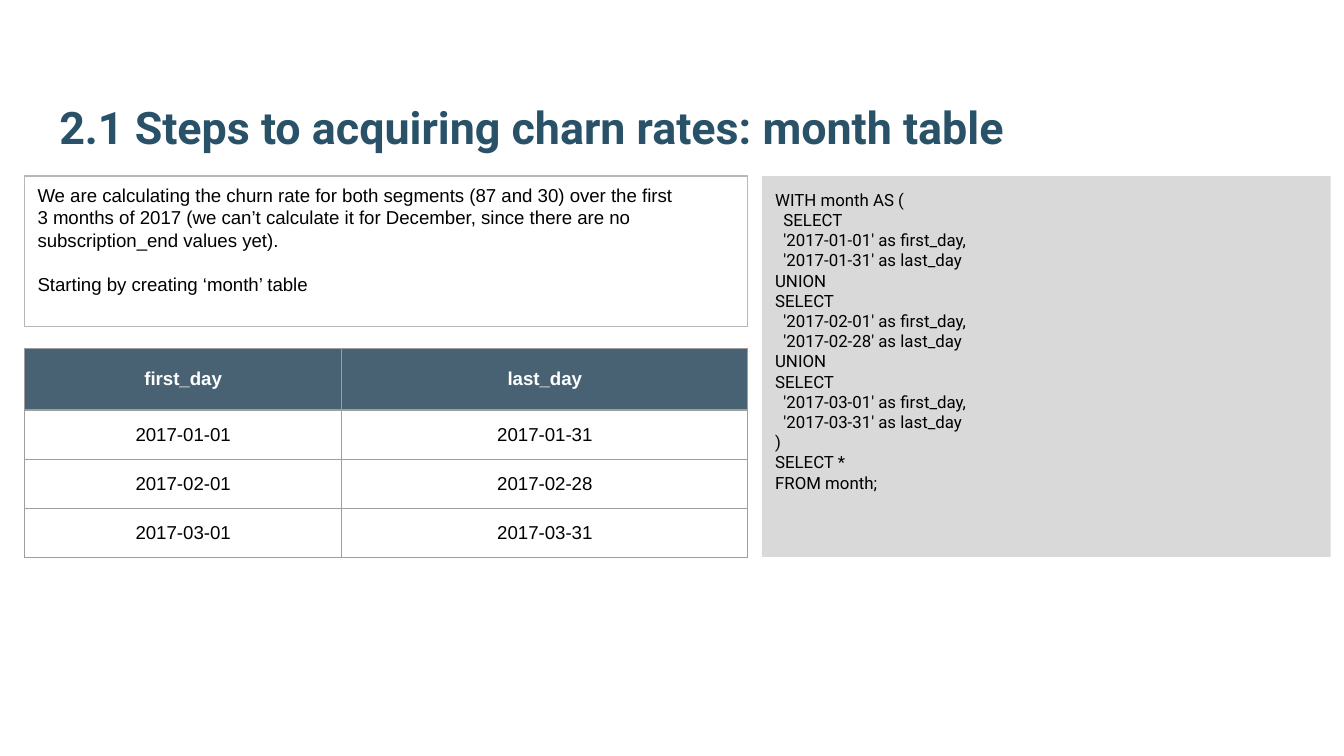
import dataclasses

import lxml.etree
import pptx
import pptx.dml.color
import pptx.enum.shapes
import pptx.enum.text
import pptx.oxml
import pptx.oxml.ns
import pptx.util

Cm = pptx.util.Cm
Align = pptx.enum.text.PP_ALIGN
Anchor = pptx.enum.text.MSO_ANCHOR
RECTANGLE = pptx.enum.shapes.MSO_SHAPE.RECTANGLE


@dataclasses.dataclass(frozen=True)
class Theme:
    """Colours, fonts and type sizes of the slide."""
    title: str = "295269"
    header: str = "204056"
    header_text: str = "FFFFFF"
    text: str = "000000"
    code_panel: str = "D9D9D9"
    note_border: str = "B7B7B7"
    table_border: str = "9E9E9E"
    heading_font: str = "Roboto"
    body_font: str = "Arial"
    title_size: float = 24
    body_size: float = 10
    code_size: float = 9
    line_width: float = 0.75
    header_opacity: int = 82


@dataclasses.dataclass(frozen=True)
class Box:
    """A region of the slide in centimetres."""
    left: float
    top: float
    width: float
    height: float

    def lengths(self):
        """Return left, top, width and height as lengths."""
        return [Cm(value) for value in dataclasses.astuple(self)]


THEME = Theme()
TITLE = "2.1 Steps to acquiring charn rates: month table"
NOTE = """We are calculating the churn rate for both segments (87 and 30) over the first
3 months of 2017 (we can’t calculate it for December, since there are no
subscription_end values yet)."""
NEXT_STEP = "Starting by creating ‘month’ table"
MONTHS = [
    ("first_day", "last_day"),
    ("2017-01-01", "2017-01-31"),
    ("2017-02-01", "2017-02-28"),
    ("2017-03-01", "2017-03-31"),
]
QUERY = """WITH month AS (
  SELECT
  '2017-01-01' as first_day,
  '2017-01-31' as last_day
UNION
SELECT
  '2017-02-01' as first_day,
  '2017-02-28' as last_day
UNION
SELECT
  '2017-03-01' as first_day,
  '2017-03-31' as last_day
)
SELECT *
FROM month;"""


def color(value):
    """Return a colour from its hexadecimal value."""
    return pptx.dml.color.RGBColor.from_string(value)


def write(frame, text, *, size=THEME.body_size, font=THEME.body_font, fill=THEME.text,
          bold=False, align=Align.LEFT):
    """Write each line of the text as a formatted paragraph."""
    frame.text = text
    for paragraph in frame.paragraphs:
        paragraph.alignment = align
        paragraph.font.size = pptx.util.Pt(size)
        paragraph.font.name = font
        paragraph.font.bold = bold
        paragraph.font.color.rgb = color(fill)


def set_up_frame(frame, anchor):
    """Set the anchor, wrapping and equal margins of a text frame."""
    frame.word_wrap = True
    frame.auto_size = pptx.enum.text.MSO_AUTO_SIZE.NONE
    frame.vertical_anchor = anchor
    frame.margin_left = frame.margin_right = Cm(0.25)
    frame.margin_top = frame.margin_bottom = Cm(0.25)


def add_title(slide, box):
    """Place the slide title in the title placeholder."""
    title = slide.shapes.title
    title.left, title.top, title.width, title.height = box.lengths()
    set_up_frame(title.text_frame, Anchor.BOTTOM)
    write(title.text_frame, TITLE, size=THEME.title_size, font=THEME.heading_font,
          fill=THEME.title, bold=True)


def add_code_panel(slide, box):
    """Place the query on a grey panel."""
    panel = slide.shapes.add_shape(RECTANGLE, *box.lengths())
    panel.shadow.inherit = False
    panel.fill.solid()
    panel.fill.fore_color.rgb = color(THEME.code_panel)
    panel.line.fill.background()
    set_up_frame(panel.text_frame, Anchor.TOP)
    write(panel.text_frame, QUERY, size=THEME.code_size, font=THEME.heading_font)


def add_note(slide, box):
    """Place the explanation inside an outlined box."""
    border = slide.shapes.add_shape(RECTANGLE, *box.lengths())
    border.shadow.inherit = False
    border.fill.background()
    border.line.color.rgb = color(THEME.note_border)
    border.line.width = pptx.util.Pt(THEME.line_width)

    text_box = Box(box.left, box.top, box.width - 0.97, box.height - 0.45)
    note = slide.shapes.add_textbox(*text_box.lengths())
    set_up_frame(note.text_frame, Anchor.MIDDLE)
    write(note.text_frame, f"{NOTE}\n{NEXT_STEP}")
    note.text_frame.paragraphs[-1].space_before = pptx.util.Pt(1.15 * THEME.body_size)


def add_borders(cell):
    """Draw a thin line on all four sides of a cell."""
    properties = cell._tc.get_or_add_tcPr()
    namespace = pptx.oxml.ns.nsdecls("a")
    width = pptx.util.Pt(THEME.line_width)
    for position, side in enumerate(("lnL", "lnR", "lnT", "lnB")):
        properties.insert(position, pptx.oxml.parse_xml(
            f'<a:{side} {namespace} w="{width}"><a:solidFill>'
            f'<a:srgbClr val="{THEME.table_border}"/></a:solidFill></a:{side}>'))


def fill_header(cell):
    """Fill a header cell with the translucent header colour."""
    cell.fill.solid()
    cell.fill.fore_color.rgb = color(THEME.header)
    value = cell._tc.tcPr.find(".//" + pptx.oxml.ns.qn("a:srgbClr"))
    opacity = str(THEME.header_opacity * 1000)
    lxml.etree.SubElement(value, pptx.oxml.ns.qn("a:alpha"), val=opacity)


def add_month_table(slide, box):
    """Place the table of first and last days."""
    table = slide.shapes.add_table(len(MONTHS), len(MONTHS[0]), *box.lengths()).table
    table.first_row = table.horz_banding = False
    first_width, header_height = 6, 1.17
    row_height = (box.height - header_height) / (len(MONTHS) - 1)
    table.columns[0].width = Cm(first_width)
    table.columns[1].width = Cm(box.width - first_width)
    for row_index, values in enumerate(MONTHS):
        is_header = row_index == 0
        table.rows[row_index].height = Cm(header_height if is_header else row_height)
        for column_index, value in enumerate(values):
            cell = table.cell(row_index, column_index)
            cell.vertical_anchor = Anchor.MIDDLE
            if is_header:
                fill_header(cell)
            else:
                cell.fill.background()
            add_borders(cell)
            write(cell.text_frame, value, bold=is_header, align=Align.CENTER,
                  fill=THEME.header_text if is_header else THEME.text)


def main():
    """Build the slide and save the presentation."""
    presentation = pptx.Presentation()
    presentation.slide_width = Cm(25.4)
    presentation.slide_height = Cm(14.29)
    slide = presentation.slides.add_slide(presentation.slide_layouts.get_by_name("Title Only"))
    add_title(slide, Box(0.87, 0.81, 23.67, 2.34))
    add_code_panel(slide, Box(14.4, 3.33, 10.75, 7.2))
    add_note(slide, Box(0.46, 3.33, 13.67, 2.84))
    add_month_table(slide, Box(0.46, 6.58, 13.67, 3.96))
    presentation.save("out.pptx")


if __name__ == "__main__":
    main()
